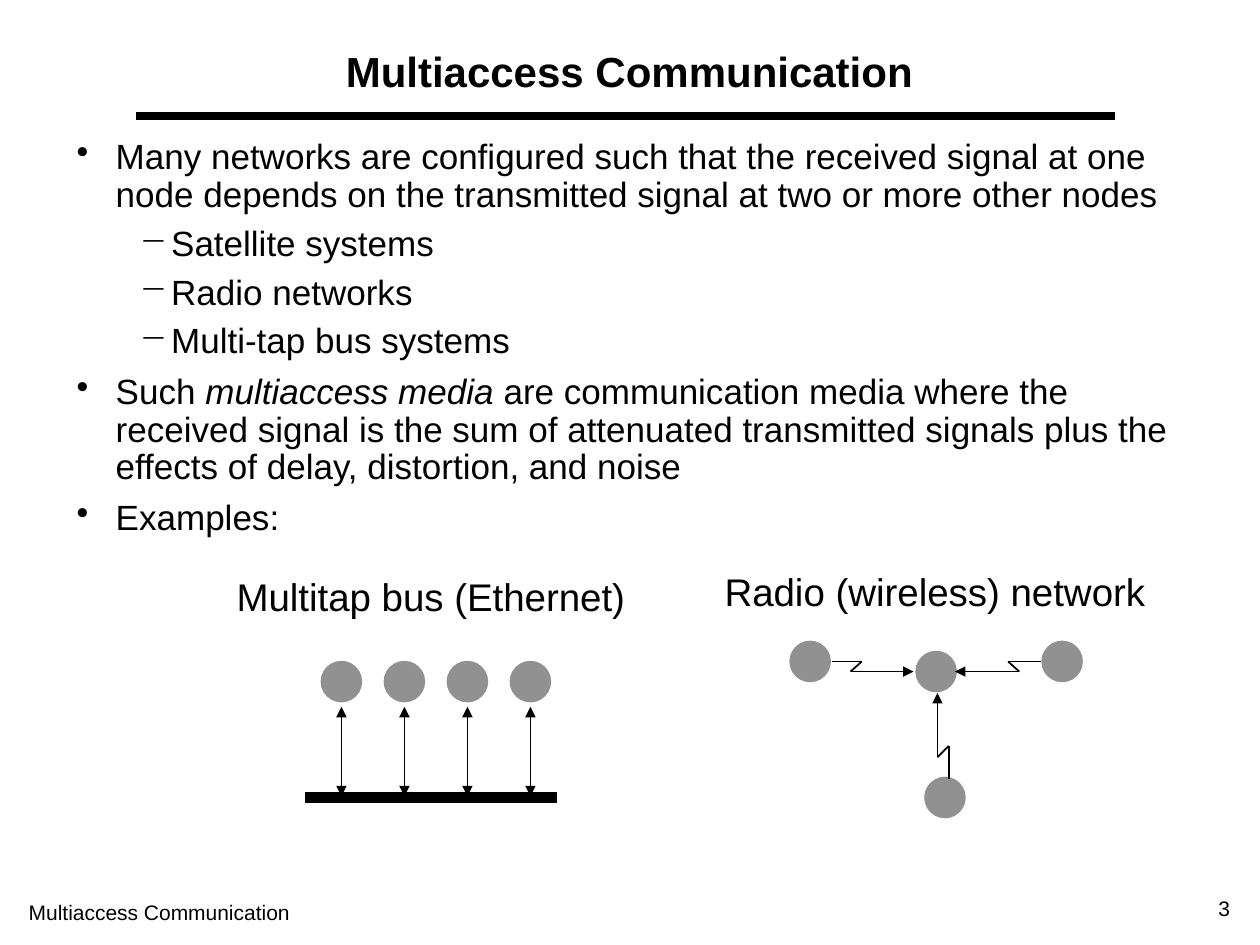
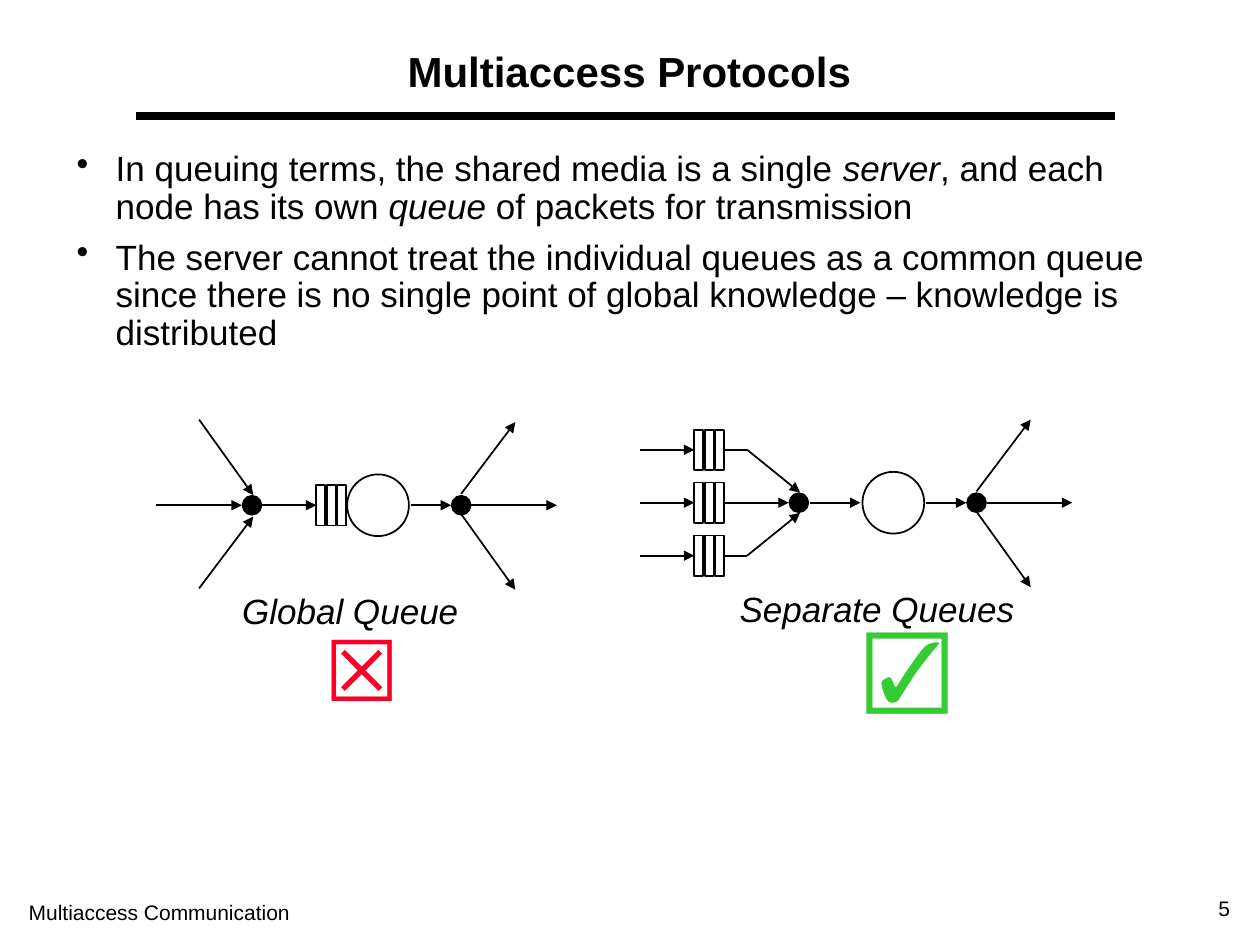
from itertools import pairwise
from lxml import etree
from pptx import Presentation
from pptx.dml.color import RGBColor
from pptx.enum import shapes, text
from pptx.oxml.ns import qn
from pptx.util import Inches, Pt

FONT = "Arial"
INK, GREY, GREEN, RED = "000000", "919191", "33CC33", "FC0128"
FOOT = "Multiaccess Communication"

# Body text: (level, text); *stars* mark italics
MEDIA = [
    (0, "Many networks are configured such that the received signal at one "
        "node depends on the transmitted signal at two or more other nodes"),
    (1, "Satellite systems"),
    (1, "Radio networks"),
    (1, "Multi-tap bus systems"),
    (0, "Such *multiaccess media* are communication media where the received "
        "signal is the sum of attenuated transmitted signals plus the effects "
        "of delay, distortion, and noise"),
    (0, "Examples:"),
]
QUEUES = [
    (0, "In queuing terms, the shared media is a single *server*, and each "
        "node has its own *queue* of packets for transmission"),
    (0, "The server cannot treat the individual queues as a common queue "
        "since there is no single point of global knowledge – knowledge is "
        "distributed"),
]
# Level: (bullet, indent, hang, line spacing, space before)
LEVELS = [("•", 0.31, 0.31, 0.9, 7.5), ("−", 0.75, 0.25, 1.0, 3.7)]

# Radio network: node centres, and jagged paths ending in an arrow
NODES = [(7.43, 5.33), (6.43, 5.25), (8.43, 5.25), (7.5, 6.33)]
WAVES = [
    [(6.6, 5.25), (6.84, 5.25), (6.75, 5.33), (7.25, 5.33)],
    [(8.26, 5.25), (8, 5.25), (8.09, 5.33), (7.58, 5.33)],
    [(7.53, 6.18), (7.53, 5.92), (7.44, 6.01), (7.44, 5.5)],
]


def rgb(code):
    return RGBColor.from_string(code)


def say(slide, box, paras, size=20, color=INK, bold=False, slant=False,
        align="LEFT", mid=False, wrap=True, lead=1.0, before=0):
    """Write a string, or a list of bulleted (level, text) items."""
    frame = slide.shapes.add_textbox(*map(Inches, box)).text_frame
    frame.word_wrap = wrap
    if mid:
        frame.vertical_anchor = text.MSO_ANCHOR.MIDDLE
    items = [(None, paras)] if isinstance(paras, str) else paras
    for i, (level, words) in enumerate(items):
        para = frame.add_paragraph() if i else frame.paragraphs[0]
        para.alignment = getattr(text.PP_ALIGN, align)
        para.line_spacing, para.space_before = lead, Pt(before)
        if level is not None:
            mark(para, level)
        for j, part in enumerate(words.split("*")):
            run = para.add_run()
            run.text = part
            font = run.font
            font.name, font.size, font.bold = FONT, Pt(size), bold
            font.italic = slant or j % 2 == 1
            font.color.rgb = rgb(color)


def mark(para, level):
    sign, left, hang, lead, before = LEVELS[level]
    para.level = level
    para.line_spacing, para.space_before = lead, Pt(before)
    props = para._p.get_or_add_pPr()
    props.set("marL", str(Inches(left)))
    props.set("indent", str(-Inches(hang)))
    etree.SubElement(props, qn("a:buChar")).set("char", sign)


def line(slide, start, end, width=1, head=False, tail=False):
    link = slide.shapes.add_connector(
        shapes.MSO_CONNECTOR.STRAIGHT, *map(Inches, (*start, *end)))
    link.line.width = Pt(width)
    link.line.color.rgb = rgb(INK)
    pen = link.line._get_or_add_ln()
    for tag, shown in (("a:headEnd", head), ("a:tailEnd", tail)):
        if shown:
            etree.SubElement(pen, qn(tag)).set("type", "triangle")
    etree.SubElement(link._element.spPr, qn("a:effectLst"))
    return link


def shape(slide, kind, box, fill=None, edge=True):
    item = slide.shapes.add_shape(
        getattr(shapes.MSO_SHAPE, kind), *map(Inches, box))
    item.shadow.inherit = False
    if fill:
        item.fill.solid()
        item.fill.fore_color.rgb = rgb(fill)
    else:
        item.fill.background()
    if edge:
        item.line.width = Pt(1)
        item.line.color.rgb = rgb(INK)
    else:
        item.line.fill.background()
    return item


def disc(slide, x, y, size, **style):
    return shape(slide, "OVAL", (x - size / 2, y - size / 2, size, size), **style)


def node(slide, x, y):
    disc(slide, x, y, 0.33, fill=GREY, edge=False)


def hub(slide, x, y):
    disc(slide, x, y, 0.15, fill=INK)


def queue(slide, x, y, start):
    """Three packet slots centred on y, fed by an arrow; returns the last."""
    slots = [shape(slide, "RECTANGLE", (x + i / 12, y - 0.16, 0.07, 0.32))
             for i in range(3)]
    feed = line(slide, (start, y), (x, y), tail=True)
    feed.end_connect(slots[0], 1)
    return slots[-1]


def server(slide, x, y):
    """Server circle, then a hub that fans out to three arrows."""
    out = x + 0.66
    disc(slide, x, y, 0.49)
    line(slide, (x + 0.26, y), (out - 0.08, y), tail=True)
    hub(slide, out, y)
    for start, end in [((0, -0.09), (0.43, -0.66)),
                       ((0, 0.07), (0.43, 0.67)),
                       ((0.08, 0), (0.76, 0))]:
        line(slide, (out + start[0], y + start[1]),
             (out + end[0], y + end[1]), tail=True)


def page(deck, title, number, top, height, body):
    """Everything the slides share: rule, footer, number, title, body."""
    slide = deck.slides.add_slide(deck.slide_layouts[6])
    line(slide, (1.08, 0.92), (8.85, 0.92), width=4.5)
    say(slide, (8.95, 7.06, 0.91, 0.3), str(number), size=12,
        align="RIGHT", before=7.5)
    say(slide, (0.13, 7.09, 4, 0.3), FOOT, size=12, before=7.5)
    say(slide, (1.08, 0.25, 7.83, 0.67), title, size=24, bold=True,
        align="CENTER", mid=True, lead=0.9)
    say(slide, (0.51, top, 8.98, height), body)
    return slide


def media(deck):
    slide = page(deck, "Multiaccess Communication", 3, 1.06, 5.53, MEDIA)
    # Radio network
    for x, y in NODES:
        node(slide, x, y)
    for wave in WAVES:
        for start, end in pairwise(wave):
            line(slide, start, end, tail=end == wave[-1])
    say(slide, (5.59, 4.5, 3.66, 0.43), "Radio (wireless) network", size=22,
        align="CENTER", lead=0.9, before=8.2)
    # Bus with four taps
    line(slide, (2.42, 6.33), (4.42, 6.33), width=6)
    for i in range(4):
        x = 2.71 + i * 0.5
        node(slide, x, 5.41)
        line(slide, (x, 5.61), (x, 6.32), head=True, tail=True)
    say(slide, (1.42, 4.5, 4, 0.46), "Multitap bus (Ethernet)", size=22,
        align="CENTER", before=4.1)


def protocols(deck):
    slide = page(deck, "Multiaccess Protocols", 5, 1.15, 2.57, QUEUES)
    # Global queue: three inputs join before one queue
    y = 4.01
    for start, end in [((1.58, 3.33), (2.01, 3.93)),
                       ((1.24, y), (1.92, y)),
                       ((1.58, 4.67), (2.01, 4.1))]:
        line(slide, start, end, tail=True)
    hub(slide, 2, y)
    queue(slide, 2.51, y, 2.08)
    server(slide, 3, y)
    # Separate queues: each input has its own, then they join
    y = 3.99
    for side in (-1, 0, 1):
        row = y + side * 0.42
        last = queue(slide, 5.51, row, 5.08)
        bend = (5.93 if side else 6.26, row)
        exit = line(slide, (5.75, row), bend, tail=not side)
        exit.begin_connect(last, 3)
        if side:
            line(slide, bend, (6.35, y + side * 0.08), tail=True)
    hub(slide, 6.34, y)
    line(slide, (6.43, y), (6.83, y), tail=True)
    server(slide, 7.09, y)
    # Captions and verdicts
    for box, words in [((1.82, 4.63, 1.92, 0.43), "Global Queue"),
                       ((5.77, 4.61, 2.38, 0.43), "Separate Queues")]:
        say(slide, box, words, slant=True, align="CENTER", wrap=False)
    for box, sign, color in [((6.77, 4.82, 0.82, 0.9), "☑", GREEN),
                             ((2.41, 4.85, 0.93, 0.9), "☒", RED)]:
        say(slide, box, sign, size=48, color=color, align="CENTER", wrap=False)


def main():
    deck = Presentation()
    deck.slide_width, deck.slide_height = Inches(10), Inches(7.5)
    media(deck)
    protocols(deck)
    deck.save("out.pptx")


if __name__ == "__main__":
    main()
